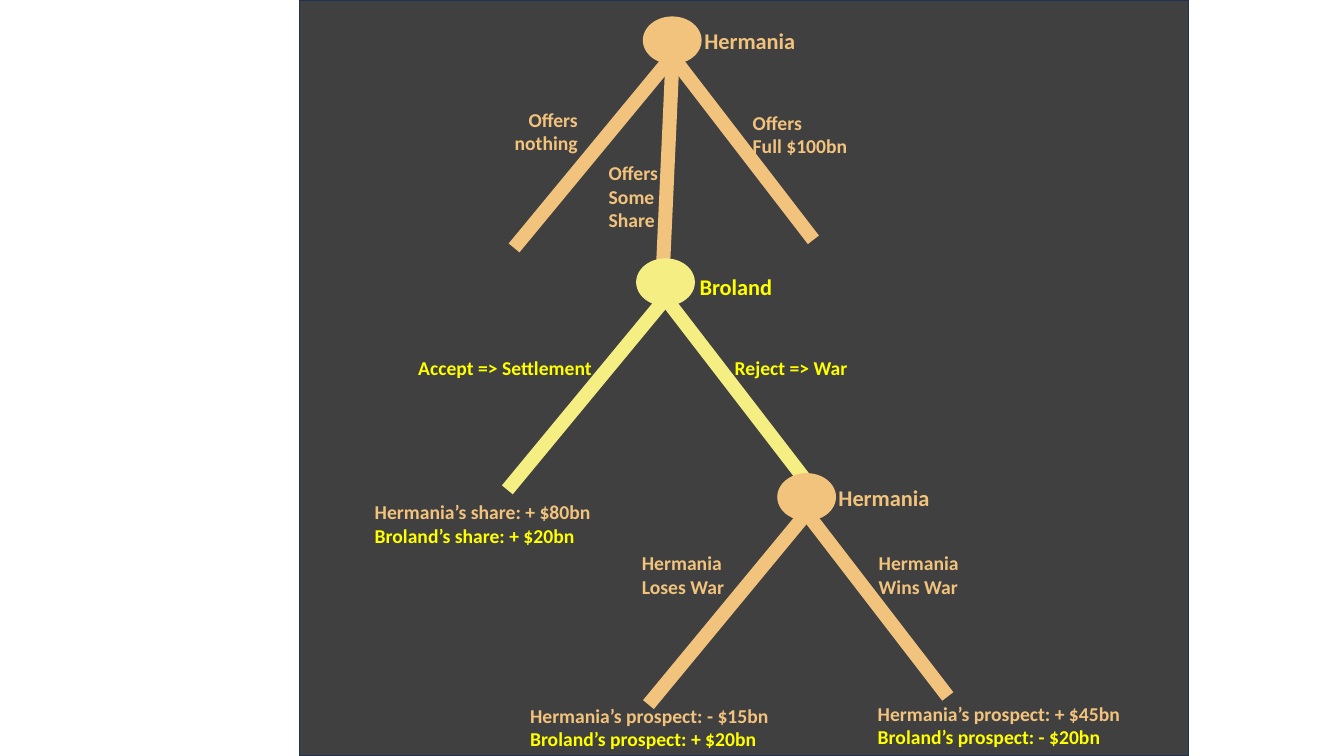
from pptx import Presentation
from pptx.dml.color import RGBColor
from pptx.enum.shapes import MSO_CONNECTOR, MSO_SHAPE
from pptx.enum.text import PP_ALIGN
from pptx.util import Pt
from lxml.etree import SubElement
from pptx.oxml.ns import qn

DARK, NAVY = "404040", "1E3256"
SAND, CREAM, YELLOW = "F2C37D", "F5EE83", "FFFF00"
LEFT, MID, RIGHT = PP_ALIGN.LEFT, PP_ALIGN.CENTER, PP_ALIGN.RIGHT

PANEL = (213.8, 0, 635, 540)
NODE_W, NODE_H = 41, 33.1
DROP = 11.5  # from a node's centre down to where its branches start
FORKS = [(-113, 136.8), (100.8, 131)]
LINK = (480.2, 45.4, 473.8, 186.5)

# centre x, centre y, node colour, name, name colour, name box left and top
PLAYERS = [
    (480.2, 28.8, SAND, "Hermania", SAND, 476.6, 15.8),
    (475.4, 201.6, CREAM, "Broland", YELLOW, 466.6, 191.5),
    (576.2, 355, SAND, "Hermania", SAND, 572.4, 342),
]

# left, top, width, alignment, lines of text with their colours
LABELS = [
    (348.5, 73.4, 71.3, RIGHT, [("Offers", SAND), ("nothing", SAND)]),
    (530.6, 75.6, 87.8, LEFT, [("Offers", SAND), ("Full $100bn", SAND)]),
    (427.7, 111.6, 87.8, LEFT,
     [("Offers", SAND), ("Some", SAND), ("Share", SAND)]),
    (287.3, 250.6, 142.6, RIGHT, [("Accept => Settlement", YELLOW)]),
    (517.7, 250.6, 109.4, LEFT, [("Reject => War", YELLOW)]),
    (620.6, 390.2, 87.8, LEFT, [("Hermania", SAND), ("Wins War", SAND)]),
    (451.4, 390.2, 87.8, LEFT, [("Hermania", SAND), ("Loses War", SAND)]),
    (260.6, 353.5, 208.8, LEFT,
     [("Hermania’s share: + $80bn", SAND),
      ("Broland’s share: + $20bn", YELLOW)]),
    (371.5, 499, 200.9, LEFT,
     [("Hermania’s prospect: - $15bn", SAND),
      ("Broland’s prospect: + $20bn", YELLOW)]),
    (619.9, 497.5, 208.8, LEFT,
     [("Hermania’s prospect: + $45bn", SAND),
      ("Broland’s prospect: - $20bn", YELLOW)]),
]


def paint(target, color):
    """Give a fill, line fill or font a solid colour from a hex string."""
    if hasattr(target, "solid"):
        target.solid()
        target = target.fore_color
    else:
        target = target.color
    target.rgb = RGBColor.from_string(color)


def add_shape(kind, box, fill, edge):
    shape = slide.shapes.add_shape(kind, *map(Pt, box))
    shape.shadow.inherit = False
    paint(shape.fill, fill)
    paint(shape.line, edge)
    shape.line.width = Pt(1)


def add_branch(ends, color):
    line = slide.shapes.add_connector(MSO_CONNECTOR.STRAIGHT, *map(Pt, ends))
    paint(line.line, color)
    line.line.width = Pt(10)
    SubElement(line._element.spPr, qn("a:effectLst"))


def add_text(left, top, width, align, lines, size=14):
    height = len(lines) * size * 1.2 + 7.2
    box = slide.shapes.add_textbox(*map(Pt, (left, top, width, height)))
    frame = box.text_frame
    frame.word_wrap = True
    frame.text = "\n".join(text for text, _ in lines)
    for para, (_, color) in zip(frame.paragraphs, lines):
        para.alignment = align
        font = para.runs[0].font
        font.name, font.size, font.bold = "Calibri", Pt(size), True
        paint(font, color)


deck = Presentation()
deck.slide_width, deck.slide_height = Pt(960), Pt(540)
slide = deck.slides.add_slide(deck.slide_layouts[6])

add_shape(MSO_SHAPE.RECTANGLE, PANEL, DARK, NAVY)
add_branch(LINK, SAND)
for x, y, color, *_ in PLAYERS:
    for dx, dy in FORKS:
        add_branch((x, y + DROP, x + dx, y + DROP + dy), color)
for x, y, color, name, ink, left, top in PLAYERS:
    box = (x - NODE_W / 2, y - NODE_H / 2, NODE_W, NODE_H)
    add_shape(MSO_SHAPE.OVAL, box, color, color)
    add_text(left, top, 118, MID, [(name, ink)], 16)
for label in LABELS:
    add_text(*label)

deck.save("out.pptx")
